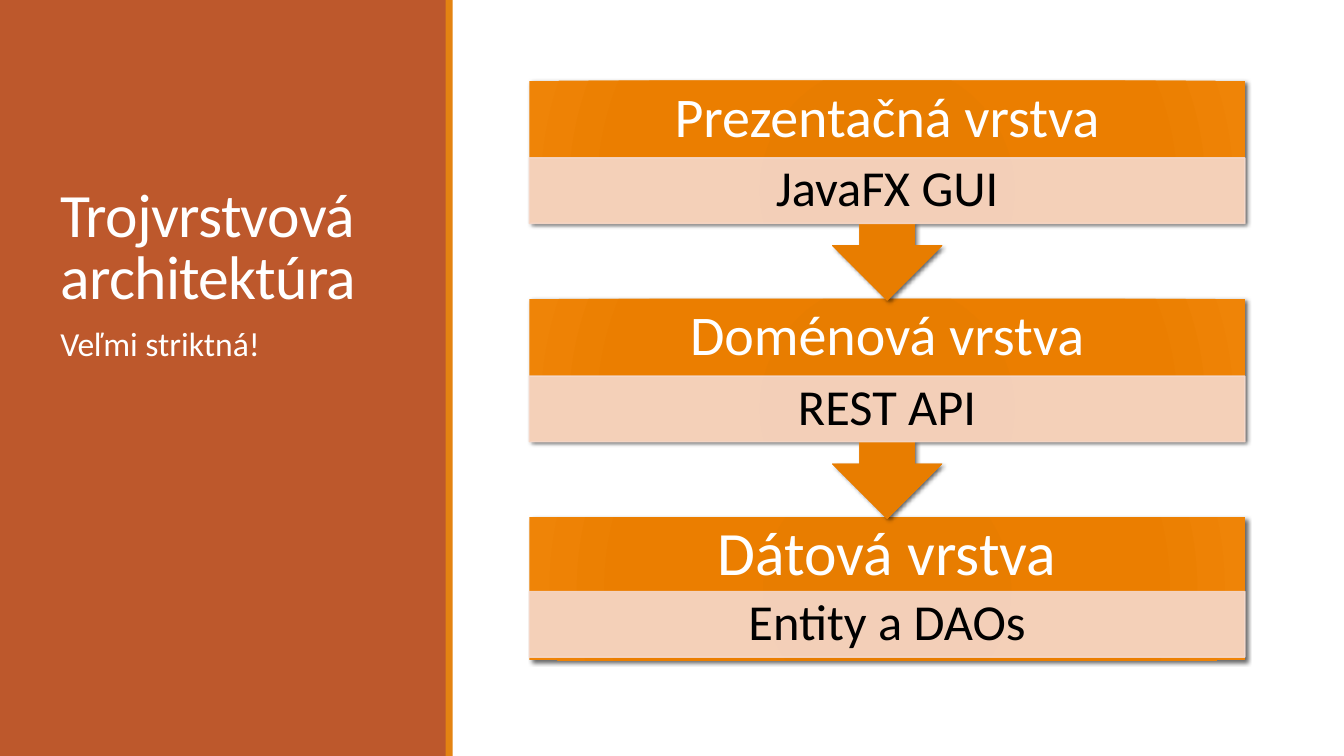
from lxml.etree import SubElement
from pptx import Presentation
from pptx.dml.color import RGBColor
from pptx.enum.shapes import MSO_SHAPE
from pptx.enum.text import MSO_ANCHOR, PP_ALIGN
from pptx.oxml import parse_xml
from pptx.oxml.ns import nsdecls, qn
from pptx.util import Inches, Pt

RUST = RGBColor(0xBD, 0x58, 0x2C)
ORANGE = RGBColor(0xE4, 0x83, 0x12)
PEACH = RGBColor(0xF5, 0xD9, 0xCC)
WHITE = RGBColor(0xFF, 0xFF, 0xFF)
BLACK = RGBColor(0x00, 0x00, 0x00)
GLOW = (
    (0, RGBColor(0xE5, 0x7B, 0x00)),
    (34, RGBColor(0xE8, 0x7D, 0x00)),
    (70, RGBColor(0xEB, 0x7E, 0x00)),
    (100, RGBColor(0xEF, 0x84, 0x07)),
)

LAYERS = (
    ("Prezentačná vrstva", "JavaFX GUI"),
    ("Doménová vrstva", "REST API"),
    ("Dátová vrstva", "Entity a DAOs"),
)
STACK_LEFT, STACK_WIDTH = 39.38, 53.25
STACK_TOP, LAYER_PITCH = 10.67, 28.87
CALLOUT_HEIGHT, BOX_HEIGHT = 29.07, 18.93
HEADING_HEIGHT, DETAIL_HEIGHT = 10.27, 8.67


def write(frame, text, *, size, color, align=PP_ALIGN.LEFT, anchor=MSO_ANCHOR.TOP,
          line_spacing=0.9, space_before=0, tracking=0, inset=(0.1, 0.05), font="Calibri"):
    frame.word_wrap = True
    frame.vertical_anchor = anchor
    frame.margin_left = frame.margin_right = Inches(inset[0])
    frame.margin_top = frame.margin_bottom = Inches(inset[1])
    paragraph = frame.paragraphs[0]
    paragraph.alignment = align
    paragraph.line_spacing = line_spacing
    paragraph.space_before = Pt(space_before)
    run = paragraph.add_run()
    run.text = text
    run.font.name = font
    run.font.size = Pt(size)
    run.font.color.rgb = color
    if tracking:
        run.font._element.set("spc", str(int(tracking * 100)))


class LayerSlide:
    def __init__(self, deck):
        self.deck = deck
        self.slide = deck.slides.add_slide(deck.slide_layouts[6])

    def place(self, left, top, width, height):
        across, down = self.deck.slide_width / 100, self.deck.slide_height / 100
        return int(left * across), int(top * down), int(width * across), int(height * down)

    def panel(self, area, color, kind=MSO_SHAPE.RECTANGLE):
        panel = self.slide.shapes.add_shape(kind, *self.place(*area))
        panel.shadow.inherit = False
        panel.fill.solid()
        panel.fill.fore_color.rgb = color
        panel.line.fill.background()
        return panel

    def label(self, area, text, **style):
        label = self.slide.shapes.add_textbox(*self.place(*area))
        write(label.text_frame, text, **style)

    def glowing(self, area, kind, rotation=0):
        block = self.panel(area, ORANGE, kind)
        block.rotation = rotation
        properties = block._element.spPr
        stops = "".join(
            f'<a:gs pos="{share * 1000}"><a:srgbClr val="{color}"/></a:gs>' for share, color in GLOW
        )
        gradient = parse_xml(
            f'<a:gradFill {nsdecls("a")} rotWithShape="1"><a:gsLst>{stops}</a:gsLst>'
            '<a:path path="circle"><a:fillToRect l="100000" t="100000" r="100000" b="100000"/>'
            '</a:path></a:gradFill>'
        )
        properties.replace(properties.find(qn("a:solidFill")), gradient)
        shadow = SubElement(
            properties.find(qn("a:effectLst")), qn("a:outerShdw"), blurRad=str(Pt(3)),
            dist=str(Pt(2)), dir="2700000", rotWithShape="0",
        )
        shade = SubElement(shadow, qn("a:srgbClr"), val=str(BLACK))
        SubElement(shade, qn("a:alpha"), val="60000")

    def detail(self, area, text):
        strip = self.panel(area, PEACH)
        strip.line.color.rgb = PEACH
        strip.line.width = Pt(1)
        for tint in strip._element.spPr.iter(qn("a:srgbClr")):
            SubElement(tint, qn("a:alpha"), val="90000")
        write(strip.text_frame, text, size=36, color=BLACK, align=PP_ALIGN.CENTER,
              anchor=MSO_ANCHOR.MIDDLE, inset=(0.28, 0.05))

    def layer(self, position, heading, detail):
        top = STACK_TOP + position * LAYER_PITCH
        last = position == len(LAYERS) - 1
        if last:
            self.glowing((STACK_LEFT, top, STACK_WIDTH, BOX_HEIGHT), MSO_SHAPE.RECTANGLE)
        else:
            self.glowing((STACK_LEFT, top, STACK_WIDTH, CALLOUT_HEIGHT),
                         MSO_SHAPE.UP_ARROW_CALLOUT, rotation=180)
        self.label((STACK_LEFT, top, STACK_WIDTH, HEADING_HEIGHT), heading,
                   size=44 if last else 40, color=WHITE, align=PP_ALIGN.CENTER,
                   anchor=MSO_ANCHOR.MIDDLE, inset=(0.31, 0))
        detail_top = top + BOX_HEIGHT * (0.52 if last else 0.54)
        self.detail((STACK_LEFT, detail_top, STACK_WIDTH, DETAIL_HEIGHT), detail)


def main():
    deck = Presentation()
    deck.slide_width, deck.slide_height = Inches(13.33), Inches(7.5)
    page = LayerSlide(deck)
    page.panel((0, 0, 33.23, 100), RUST)
    page.panel((33.16, 0, 0.53, 100), ORANGE)
    page.label((3.75, 8.67, 26.26, 33.33), "Trojvrstvová architektúra", size=44, color=WHITE,
               anchor=MSO_ANCHOR.BOTTOM, line_spacing=0.85, tracking=-0.5)
    for position, (heading, detail) in reversed(tuple(enumerate(LAYERS))):
        page.layer(position, heading, detail)
    page.label((3.75, 42.67, 26.26, 49.33), "Veľmi striktná!", size=24, color=WHITE,
               space_before=12)
    deck.save("out.pptx")


if __name__ == "__main__":
    main()
